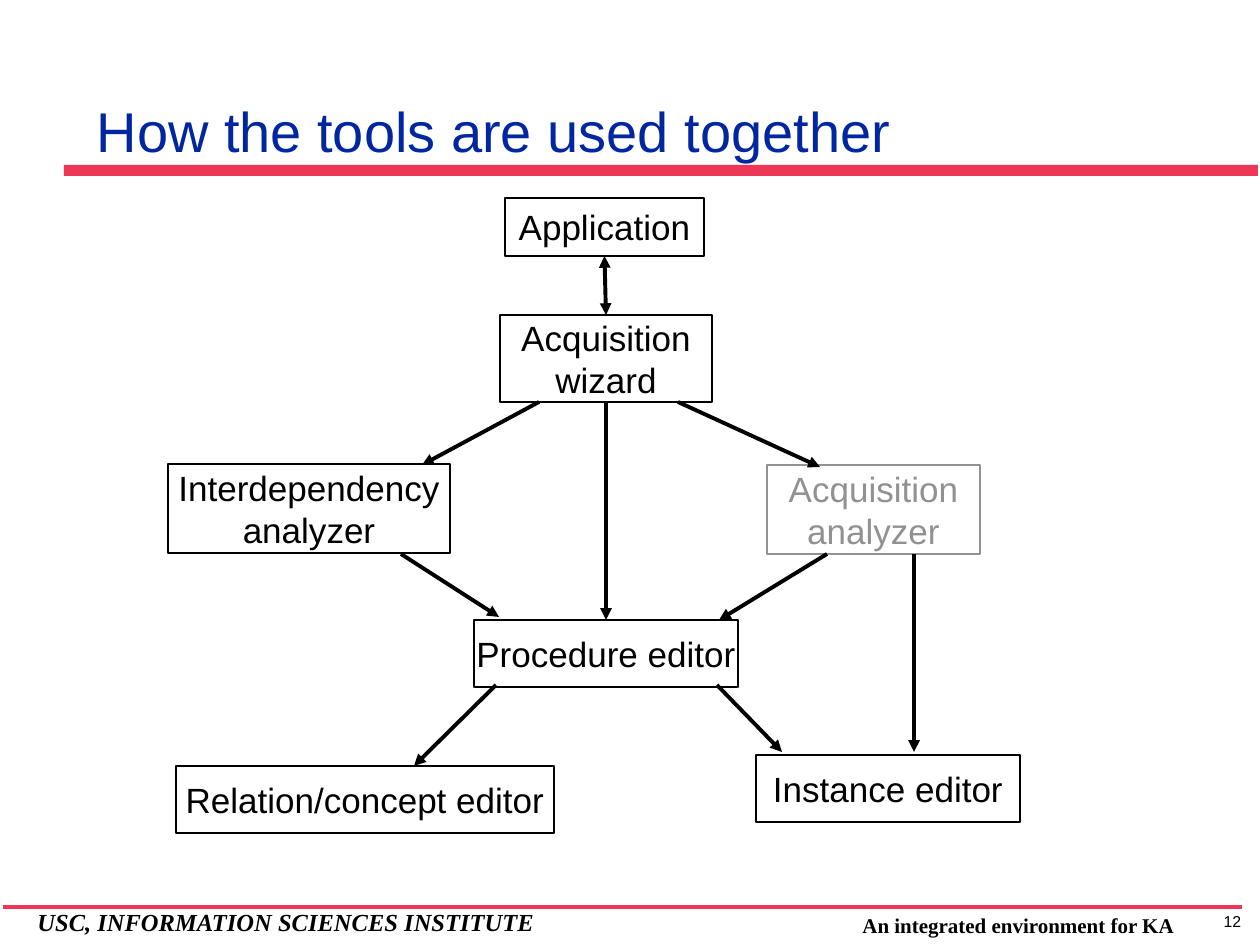
"""Build the slide that shows how the knowledge acquisition tools are used together."""
from lxml.etree import SubElement
from pptx import Presentation
from pptx.dml.color import RGBColor
from pptx.enum.shapes import MSO_CONNECTOR as CONN, MSO_SHAPE as SHAPE
from pptx.enum.text import MSO_ANCHOR as ANCHOR, MSO_AUTO_SIZE as AUTO, PP_ALIGN as ALIGN
from pptx.oxml.ns import qn
from pptx.util import Emu, Pt

BLACK = RGBColor(0x00, 0x00, 0x00)
GRAY = RGBColor(0x91, 0x91, 0x91)
RED = RGBColor(0xEE, 0x37, 0x57)
BLUE = RGBColor(0x00, 0x27, 0x9F)
SCALE = 914400 / 126

TITLE = "How the tools are used together"
TITLE_AT = (84, 11, 1068, 159)
BAR_AT = (64, 165, 1194, 11)
FOOT_RULE = (1242, 907, 3, 907)

FOOTERS = [
    ("USC, INFORMATION SCIENCES INSTITUTE", (25, 901, 549, 42), ALIGN.LEFT, True,
     dict(name="Times New Roman", size=Pt(14), bold=True, italic=True)),
    ("An integrated environment for KA", (850, 906, 360, 38), ALIGN.LEFT, True,
     dict(name="Times New Roman", size=Pt(12), bold=True)),
    ("12", (1184, 906, 97, 31), ALIGN.CENTER, False, dict(name="Arial", size=Pt(9))),
]

TOOLS = {
    "application": ("Application", (505, 198, 199, 58), BLACK),
    "wizard": ("Acquisition\nwizard", (500, 315, 212, 87), BLACK),
    "acquisition": ("Acquisition\nanalyzer", (767, 465, 213, 89), GRAY),
    "interdependency": ("Interdependency\nanalyzer", (168, 464, 282, 89), BLACK),
    "procedure": ("Procedure editor", (474, 620, 264, 67), BLACK),
    "relation": ("Relation/concept editor", (176, 766, 378, 67), BLACK),
    "instance": ("Instance editor", (756, 755, 264, 67), BLACK),
}

JOINED = [
    ("application", "wizard", ("headEnd", "tailEnd")),
    ("wizard", "procedure", ("tailEnd",)),
]
FREE = [
    (539, 402, 422, 465),
    (678, 402, 820, 467),
    (401, 554, 499, 617),
    (827, 554, 719, 620),
    (914, 554, 914, 752),
    (717, 685, 782, 752),
    (496, 685, 414, 766),
]


def px(values):
    return [Emu(round(v * SCALE)) for v in values]


def write(sp, text, font, color, align, anchor=ANCHOR.TOP, wrap=False):
    tf = sp.text_frame
    tf.text = text
    for key, value in dict(word_wrap=wrap, auto_size=AUTO.NONE, vertical_anchor=anchor).items():
        setattr(tf, key, value)
    for p in tf.paragraphs:
        p.alignment = align
        for key, value in font.items():
            setattr(p.font, key, value)
        p.font.color.rgb = color


def add_box(slide, at):
    sp = slide.shapes.add_shape(SHAPE.RECTANGLE, *px(at))
    sp.shadow.inherit = False
    return sp


def add_line(slide, ends, color, width, arrows=()):
    line = slide.shapes.add_connector(CONN.STRAIGHT, *px(ends))
    line.line.color.rgb = color
    line.line.width = Pt(width)
    for arrow in arrows:
        SubElement(line.line._get_or_add_ln(), qn(f"a:{arrow}"), type="triangle")
    SubElement(line._element.spPr, qn("a:effectLst"))
    return line


def main():
    prs = Presentation()
    prs.slide_width, prs.slide_height = px((1260, 945))
    slide = prs.slides.add_slide(prs.slide_layouts[5])

    title = slide.shapes.title
    title.left, title.top, title.width, title.height = px(TITLE_AT)
    write(title, TITLE, dict(name="Arial", size=Pt(32)), BLUE, ALIGN.LEFT, ANCHOR.BOTTOM, True)

    bar = add_box(slide, BAR_AT)
    bar.fill.solid()
    bar.fill.fore_color.rgb = RED
    bar.line.fill.background()
    add_line(slide, FOOT_RULE, RED, 2)
    for text, at, align, wrap, font in FOOTERS:
        write(slide.shapes.add_textbox(*px(at)), text, font, BLACK, align, wrap=wrap)

    boxes = {}
    for name, (text, at, color) in TOOLS.items():
        sp = boxes[name] = add_box(slide, at)
        sp.fill.background()
        sp.line.color.rgb = color
        sp.line.width = Pt(1)
        write(sp, text, dict(name="Arial", size=Pt(20)), color, ALIGN.CENTER, ANCHOR.MIDDLE)

    for start, end, arrows in JOINED:
        line = add_line(slide, (0, 0, 0, 0), BLACK, 2.25, arrows)
        line.begin_connect(boxes[start], 2)
        line.end_connect(boxes[end], 0)
    for ends in FREE:
        add_line(slide, ends, BLACK, 2.25, ("tailEnd",))

    prs.save("out.pptx")


if __name__ == "__main__":
    main()
